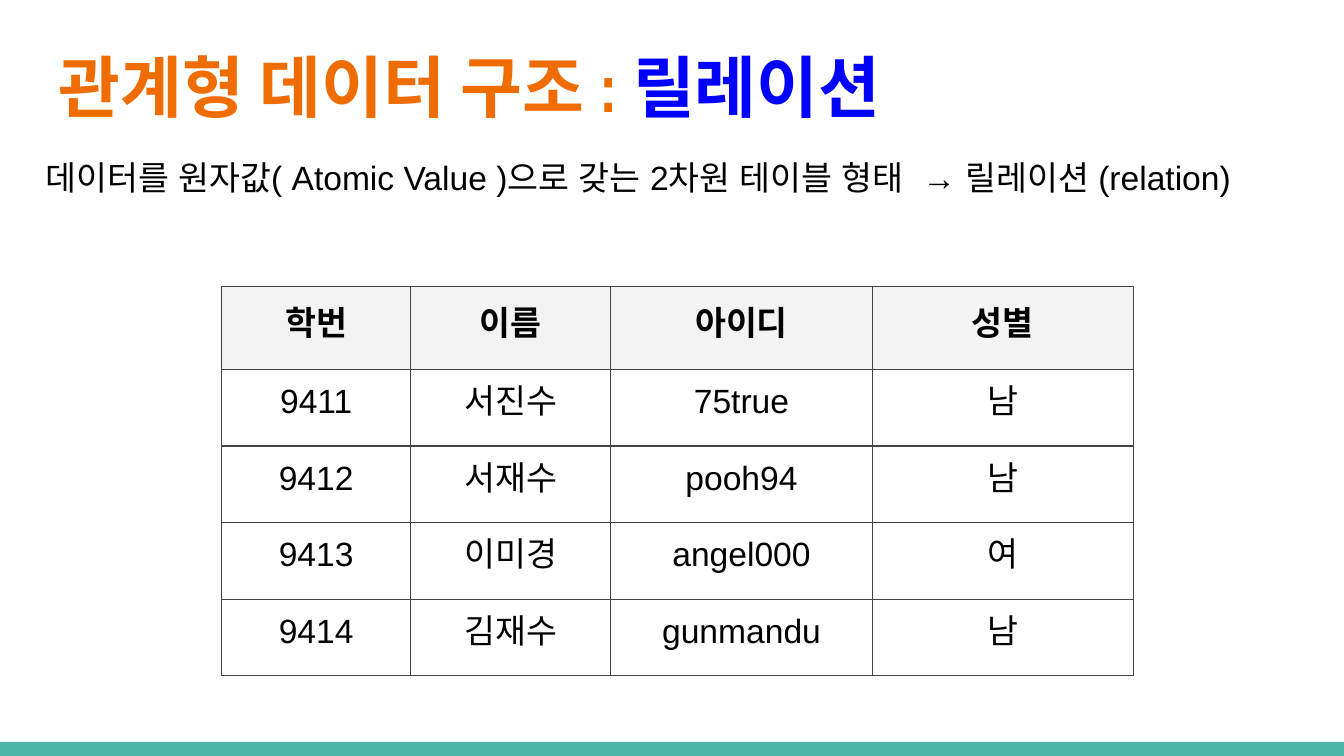
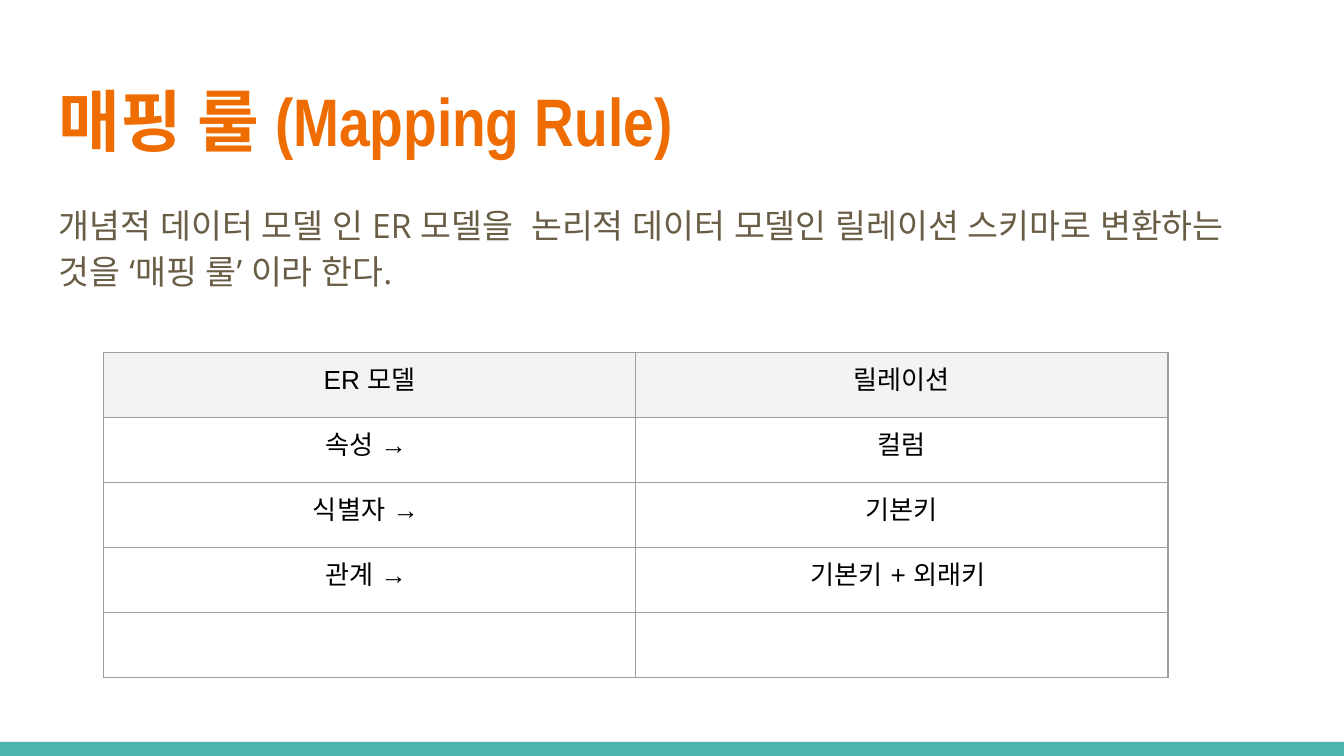
from lxml import etree
from pptx import Presentation
from pptx.dml.color import RGBColor
from pptx.enum.shapes import MSO_SHAPE
from pptx.enum.text import PP_ALIGN
from pptx.oxml.ns import qn
from pptx.util import Pt

RECTANGLE = MSO_SHAPE.RECTANGLE
CENTER = PP_ALIGN.CENTER

SCALE = 4572  # EMU per px, 200 px to the inch
SLIDE_W, SLIDE_H = 2000, 1125
INSET = 20

ORANGE, BLUE, TEAL = "EF6C00", "0000FF", "4DB6AC"
BLACK, BROWN, WHITE = "000000", "695D46", "FFFFFF"
HEADER_FILL, DARK_RULE, PALE_RULE = "F3F3F3", "434343", "9E9E9E"
BODY_FONT, TITLE_FONT, LEAD_FONT = "Arial", "Arial Narrow", "Open Sans"
WIDE_GAP = 5  # points added to a space that separates two phrases


def px(length):
    return length * SCALE


def color(hex_value):
    return RGBColor.from_string(hex_value)


def add_run(paragraph, text, size, font, ink, bold=False, tracking=0):
    run = paragraph.add_run()
    run.text = text
    run.font.size = Pt(size)
    run.font.name = font
    run.font.bold = bold
    run.font.color.rgb = color(ink)
    properties = run._r.get_or_add_rPr()
    for script in ("ea", "cs"):
        etree.SubElement(properties, qn(f"a:{script}"), typeface=font)
    if tracking:
        properties.set("spc", str(tracking * 100))


def set_insets(holder):
    holder.margin_left = holder.margin_right = px(INSET)
    holder.margin_top = holder.margin_bottom = px(INSET)


def text_block(slide, box, runs, size, font, bold=False, line_spacing=None):
    """Add one paragraph made of (text, colour[, tracking]) runs."""
    frame = slide.shapes.add_textbox(*map(px, box)).text_frame
    frame.word_wrap = True
    set_insets(frame)
    paragraph = frame.paragraphs[0]
    if line_spacing:
        paragraph.line_spacing = line_spacing
    for text, ink, *tracking in runs:
        add_run(paragraph, text, size, font, ink, bold, *tracking)


def title(slide, top, runs):
    text_block(slide, (68, top, 1864, 154), runs, 36, TITLE_FONT, bold=True)


def footer_band(slide):
    band = slide.shapes.add_shape(RECTANGLE, 0, px(1104), px(SLIDE_W), px(21))
    band.shadow.inherit = False
    band.fill.solid()
    band.fill.fore_color.rgb = color(TEAL)
    band.line.fill.background()


def border_cell(cell, rule):
    properties = cell._tc.get_or_add_tcPr()
    for side in ("lnL", "lnR", "lnT", "lnB"):
        line = etree.SubElement(properties, qn(f"a:{side}"), w=str(Pt(0.75)))
        fill = etree.SubElement(line, qn("a:solidFill"))
        etree.SubElement(fill, qn("a:srgbClr"), val=rule)


def data_table(slide, left, top, widths, heights, rows, size, rule,
               bold_header=False, header_spacing=None):
    table = slide.shapes.add_table(
        len(rows), len(widths), px(left), px(top),
        px(sum(widths)), px(sum(heights))).table
    table.first_row = table.horz_banding = False
    for column, width in zip(table.columns, widths):
        column.width = px(width)
    for r, (values, height) in enumerate(zip(rows, heights)):
        table.rows[r].height = px(height)
        is_header = r == 0
        for c, value in enumerate(values):
            cell = table.cell(r, c)
            set_insets(cell)
            border_cell(cell, rule)
            if is_header:
                cell.fill.solid()
                cell.fill.fore_color.rgb = color(HEADER_FILL)
            else:
                cell.fill.background()
            paragraph = cell.text_frame.paragraphs[0]
            paragraph.alignment = CENTER
            if is_header and header_spacing:
                paragraph.line_spacing = header_spacing
            if value:
                add_run(paragraph, value, size, BODY_FONT, BLACK,
                        is_header and bold_header)
            else:
                etree.SubElement(paragraph._p, qn("a:endParaRPr"),
                                 sz=str(size * 100))


def new_slide(deck):
    slide = deck.slides.add_slide(deck.slide_layouts[6])
    slide.background.fill.solid()
    slide.background.fill.fore_color.rgb = color(WHITE)
    footer_band(slide)
    return slide


def relation_slide(deck):
    slide = new_slide(deck)
    title(slide, 48, [("관계형 데이터 구조 : ", ORANGE), ("릴레이션", BLUE)])
    students = [
        ("학번", "이름", "아이디", "성별"),
        ("9411", "서진수", "75true", "남"),
        ("9412", "서재수", "pooh94", "남"),
        ("9413", "이미경", "angel000", "여"),
        ("9414", "김재수", "gunmandu", "남"),
    ]
    data_table(slide, 330, 426, [281, 298, 389, 389], [124] + [114] * 4,
               students, 18, DARK_RULE, bold_header=True, header_spacing=1.15)
    definition = [
        ("데이터를 원자값( Atomic Value )으로 갖는 2차원 테이블 형태", BLACK),
        (" ", BLACK, WIDE_GAP),
        ("→ 릴레이션 (relation)", BLACK),
    ]
    text_block(slide, (48, 214, 1920, 154), definition, 18, BODY_FONT)


def mapping_slide(deck):
    slide = new_slide(deck)
    title(slide, 98, [("매핑 룰 (Mapping Rule)", ORANGE)])
    definition = [
        ("개념적 데이터 모델 인 ER 모델을", BROWN),
        (" ", BROWN, WIDE_GAP),
        ("논리적 데이터 모델인 릴레이션 스키마로 변환하는 것을 "
         "‘매핑 룰’ 이라 한다.", BROWN),
    ]
    text_block(slide, (68, 276, 1864, 208), definition, 18, LEAD_FONT,
               line_spacing=1.15)
    mappings = [
        ("ER 모델", "릴레이션"),
        ("속성 → ", "컬럼"),
        ("식별자 → ", "기본키"),
        ("관계 → ", "기본키 + 외래키 "),
        ("", ""),
    ]
    data_table(slide, 154, 524, [792] * 2, [97] * 5, mappings, 14, PALE_RULE)


def main():
    deck = Presentation()
    deck.slide_width, deck.slide_height = px(SLIDE_W), px(SLIDE_H)
    relation_slide(deck)
    mapping_slide(deck)
    deck.save("out.pptx")


if __name__ == "__main__":
    main()
